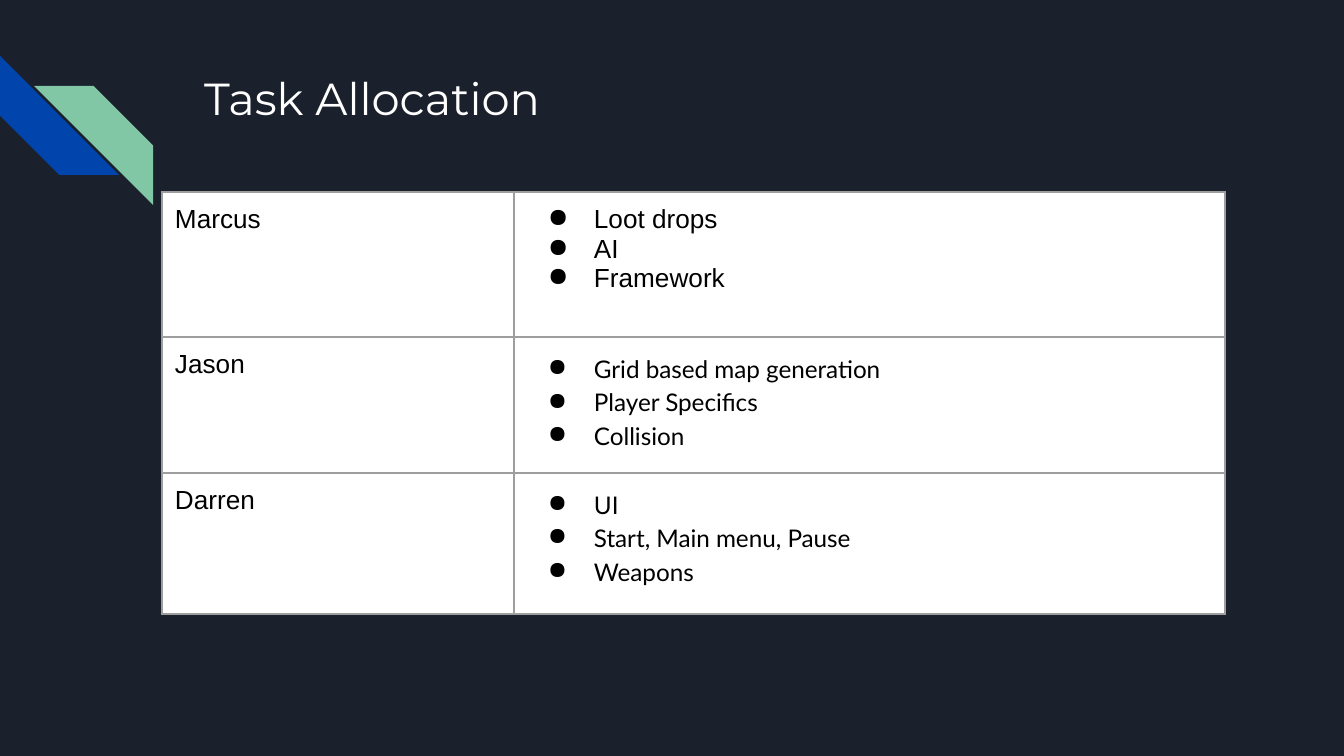
from dataclasses import dataclass

from lxml.etree import SubElement
from pptx import Presentation
from pptx.dml.color import RGBColor
from pptx.enum.shapes import MSO_SHAPE
from pptx.enum.text import MSO_ANCHOR, PP_ALIGN
from pptx.oxml.ns import qn
from pptx.util import Emu, Pt

HEX = {
    "back": "1B212C",
    "blue": "0145AC",
    "green": "82C7A5",
    "white": "FFFFFF",
    "black": "000000",
    "rule": "9E9E9E",
}
SCALE = 914400 / 134.4
PAD = 13
COLS = [352, 356, 355]


@dataclass
class Stripe:
    left: int
    top: int
    turn: int
    color: str


@dataclass
class Row:
    name: str
    tasks: list[str]
    high: int
    font: str = "Lato"
    size: int = 13
    space: float = 1.15


STRIPES = [Stripe(0, 56, 270, "blue"), Stripe(34, 86, 90, "green")]
ROWS = [
    Row("Marcus", ["Loot drops", "AI", "Framework"], 145, "Arial", 14, 1.0),
    Row("Jason", ["Grid based map generation", "Player Specifics", "Collision"], 136),
    Row("Darren", ["UI", "Start, Main menu, Pause", "Weapons"], 141),
]


def px(n: int) -> Emu:
    return Emu(round(n * SCALE))


def rgb(name: str) -> RGBColor:
    return RGBColor.from_string(HEX[name])


def style(para, font: str, size: int, color: str) -> None:
    para.alignment = PP_ALIGN.LEFT
    for run in para.runs:
        run.font.name = font
        run.font.size = Pt(size)
        run.font.color.rgb = rgb(color)


def pad(box) -> None:
    box.margin_left = box.margin_right = px(PAD)
    box.margin_top = box.margin_bottom = px(PAD)
    box.vertical_anchor = MSO_ANCHOR.TOP


def add_stripe(group, item: Stripe) -> None:
    shape = group.shapes.add_shape(
        MSO_SHAPE.DIAGONAL_STRIPE, px(item.left), px(item.top), px(119), px(119))
    shape.rotation = item.turn
    shape.shadow.inherit = False
    shape.fill.solid()
    shape.fill.fore_color.rgb = rgb(item.color)
    shape.line.fill.background()


def add_fill(parent, color: str) -> None:
    fill = SubElement(parent, qn("a:solidFill"))
    SubElement(fill, qn("a:srgbClr"), val=HEX[color])


def dress(cell) -> None:
    props = cell._tc.get_or_add_tcPr()
    for side in ("lnL", "lnR", "lnT", "lnB"):
        add_fill(SubElement(props, qn(f"a:{side}"), w=str(Pt(0.75))), "rule")
    cell.fill.solid()
    cell.fill.fore_color.rgb = rgb("white")
    pad(cell)


def add_dot(para) -> None:
    props = para._p.get_or_add_pPr()
    props.set("marL", str(px(67)))
    props.set("indent", str(px(-46)))
    add_fill_color = SubElement(props, qn("a:buClr"))
    SubElement(add_fill_color, qn("a:srgbClr"), val=HEX["black"])
    SubElement(props, qn("a:buChar"), char="●")


def fill_row(table, at: int, row: Row) -> None:
    table.rows[at].height = px(row.high)
    for cell in table.rows[at].cells:
        dress(cell)
    name, tasks = table.cell(at, 0), table.cell(at, 1)
    tasks.merge(table.cell(at, 2))
    name.text_frame.text = row.name
    style(name.text_frame.paragraphs[0], "Arial", 14, "black")
    tasks.text_frame.text = "\n".join(row.tasks)
    for para in tasks.text_frame.paragraphs:
        add_dot(para)
        para.line_spacing = row.space
        style(para, row.font, row.size, "black")


def main() -> None:
    deck = Presentation()
    deck.slide_width, deck.slide_height = px(1344), px(756)
    slide = deck.slides.add_slide(deck.slide_layouts[5])
    slide.background.fill.solid()
    slide.background.fill.fore_color.rgb = rgb("back")

    # Corner stripes
    group = slide.shapes.add_group_shape()
    for item in STRIPES:
        add_stripe(group, item)

    # Title
    title = slide.shapes.title
    title.left, title.top, title.width, title.height = px(191), px(58), px(1035), px(134)
    title.text_frame.text = "Task Allocation"
    title.text_frame.word_wrap = True
    pad(title.text_frame)
    style(title.text_frame.paragraphs[0], "Montserrat", 24, "white")

    # Task table
    frame = slide.shapes.add_table(
        len(ROWS), len(COLS), px(162), px(192),
        px(sum(COLS)), px(sum(row.high for row in ROWS)))
    table = frame.table
    table.first_row = table.horz_banding = False
    for col, wide in zip(table.columns, COLS):
        col.width = px(wide)
    for at, row in enumerate(ROWS):
        fill_row(table, at, row)

    deck.save("out.pptx")


if __name__ == "__main__":
    main()
